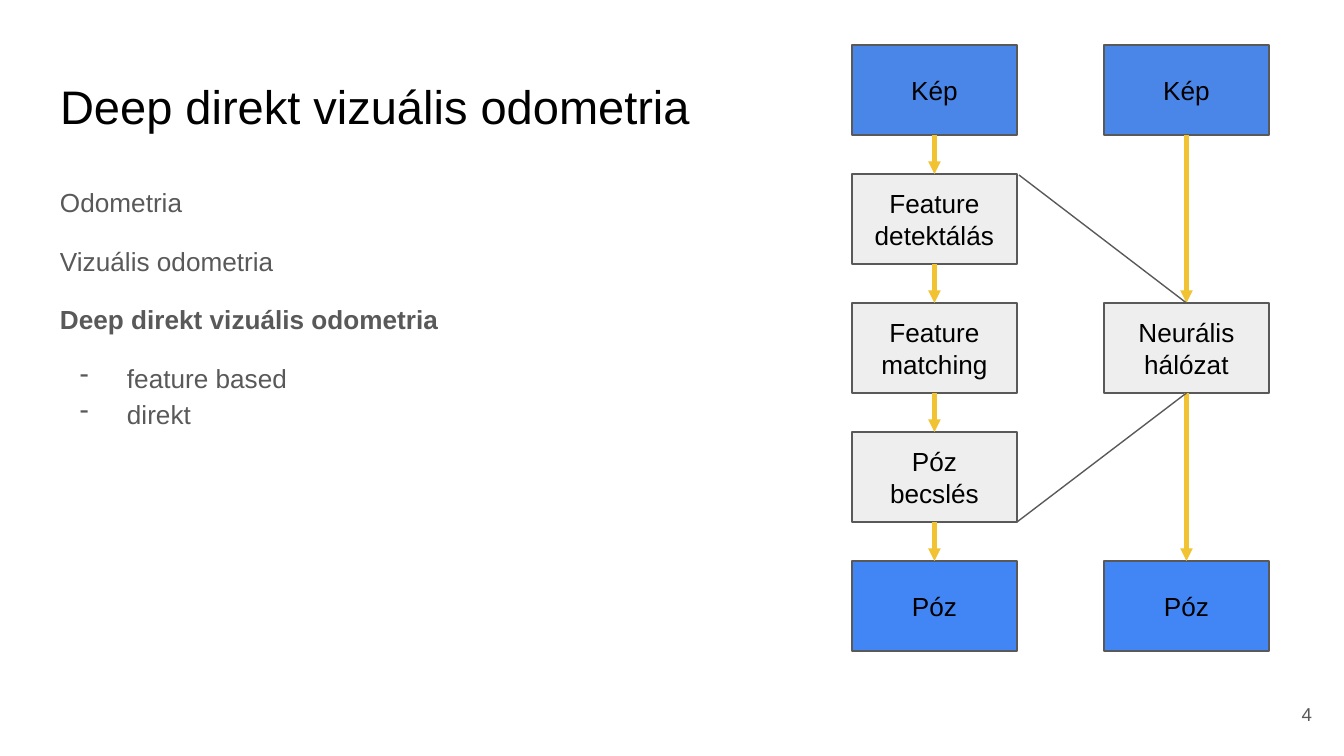
from itertools import pairwise

from lxml.etree import SubElement
from pptx import Presentation
from pptx.dml.color import RGBColor
from pptx.enum.shapes import MSO_CONNECTOR, MSO_SHAPE
from pptx.enum.text import MSO_ANCHOR, PP_ALIGN
from pptx.oxml.ns import qn
from pptx.util import Emu, Pt

BLACK = RGBColor(0x00, 0x00, 0x00)
WHITE = RGBColor(0xFF, 0xFF, 0xFF)
GREY = RGBColor(0x59, 0x59, 0x59)
PALE = RGBColor(0xEE, 0xEE, 0xEE)
INPUT_BLUE = RGBColor(0x4A, 0x86, 0xE8)
OUTPUT_BLUE = RGBColor(0x42, 0x85, 0xF4)
YELLOW = RGBColor(0xF1, 0xC2, 0x32)

TOP, BOTTOM = 0, 2
STEP_WIDTH, STEP_HEIGHT = 165, 90
COLUMN_PITCH, ROW_PITCH = 252, 129


def px(length):
    return Emu(round(length * 914400 / 134.4))


def write(paragraph, text, size=14, color=BLACK, bold=False, align=PP_ALIGN.LEFT,
          line_spacing=1.0, before=0, bullet=None):
    paragraph.alignment = align
    paragraph.line_spacing = line_spacing
    paragraph.space_before = Pt(before)
    run = paragraph.add_run()
    run.text = text
    run.font.name = "Arial"
    run.font.size = Pt(size)
    run.font.bold = bold
    run.font.color.rgb = color
    if bullet:
        properties = paragraph._p.get_or_add_pPr()
        properties.set("marL", str(px(67)))
        properties.set("indent", str(-px(47)))
        bullet_color = SubElement(properties, qn("a:buClr"))
        SubElement(bullet_color, qn("a:srgbClr"), val=str(color))
        SubElement(properties, qn("a:buChar"), char=bullet)


def prepare_frame(shape, anchor=MSO_ANCHOR.TOP):
    frame = shape.text_frame
    frame.word_wrap = True
    frame.vertical_anchor = anchor
    frame.margin_left = frame.margin_right = px(14)
    frame.margin_top = frame.margin_bottom = px(13)
    return frame


def add_text_area(slide, left, top, width, height, anchor=MSO_ANCHOR.TOP):
    area = slide.shapes.add_textbox(px(left), px(top), px(width), px(height))
    return prepare_frame(area, anchor)


def add_title(slide, left, top, width, height):
    frame = add_text_area(slide, left, top, width, height)
    write(frame.paragraphs[0], "Deep direkt vizuális odometria", size=25.2)


def add_outline(slide, left, top, width, height):
    frame = add_text_area(slide, left, top, width, height)
    topics = [
        ("Odometria", {}),
        ("Vizuális odometria", {"before": 12}),
        ("Deep direkt vizuális odometria", {"before": 12, "bold": True}),
        ("feature based", {"before": 12, "bullet": "-"}),
        ("direkt", {"bullet": "-"}),
    ]
    for index, (topic, formatting) in enumerate(topics):
        paragraph = frame.add_paragraph() if index else frame.paragraphs[0]
        write(paragraph, topic, color=GREY, line_spacing=1.15, **formatting)


def add_step(slide, left, top, label, fill):
    step = slide.shapes.add_shape(MSO_SHAPE.RECTANGLE, px(left), px(top),
                                  px(STEP_WIDTH), px(STEP_HEIGHT))
    step.shadow.inherit = False
    step.fill.solid()
    step.fill.fore_color.rgb = fill
    step.line.color.rgb = GREY
    step.line.width = Pt(0.75)
    frame = prepare_frame(step, MSO_ANCHOR.MIDDLE)
    write(frame.paragraphs[0], label, align=PP_ALIGN.CENTER)
    return step


def add_link(slide, color, width, start=(0, 0), end=(0, 0)):
    link = slide.shapes.add_connector(MSO_CONNECTOR.STRAIGHT,
                                      *map(px, start), *map(px, end))
    link.line.color.rgb = color
    link.line.width = Pt(width)
    SubElement(link._element.spPr, qn("a:effectLst"))
    return link


def add_arrow(slide, source, target):
    arrow = add_link(slide, YELLOW, 2.25)
    arrow.begin_connect(source, BOTTOM)
    arrow.end_connect(target, TOP)
    SubElement(arrow.line._get_or_add_ln(), qn("a:tailEnd"), type="triangle")


def add_pipeline(slide, left, top, stages):
    steps = [add_step(slide, left, top + row * ROW_PITCH, label, fill)
             for row, label, fill in stages]
    for source, target in pairwise(steps):
        add_arrow(slide, source, target)
    return steps


def add_comparison(slide, left, top):
    image, pose = (0, "Kép", INPUT_BLUE), (4, "Póz", OUTPUT_BLUE)
    add_pipeline(slide, left, top, [
        image,
        (1, "Feature detektálás", PALE),
        (2, "Feature matching", PALE),
        (3, "Póz becslés", PALE),
        pose,
    ])
    network = add_pipeline(slide, left + COLUMN_PITCH, top, [
        image, (2, "Neurális hálózat", PALE), pose,
    ])[1]

    right = left + STEP_WIDTH
    detection_corner = (right + 2, top + ROW_PITCH + 1)
    estimation_corner = (right, top + 3 * ROW_PITCH + STEP_HEIGHT)
    for corner, side in ((detection_corner, TOP), (estimation_corner, BOTTOM)):
        add_link(slide, GREY, 0.75, start=corner).end_connect(network, side)


def add_page_number(slide, left, top, width, height):
    frame = add_text_area(slide, left, top, width, height, MSO_ANCHOR.MIDDLE)
    write(frame.paragraphs[0], "4", size=10, color=GREY, align=PP_ALIGN.RIGHT)


def main():
    presentation = Presentation()
    presentation.slide_width = px(1344)
    presentation.slide_height = px(756)
    slide = presentation.slides.add_slide(presentation.slide_layouts[6])
    slide.background.fill.solid()
    slide.background.fill.fore_color.rgb = WHITE
    add_title(slide, 46, 65, 1252, 84)
    add_outline(slide, 46, 169, 587, 502)
    add_comparison(slide, 852, 45)
    add_page_number(slide, 1245, 685, 81, 58)
    presentation.save("out.pptx")


if __name__ == "__main__":
    main()
